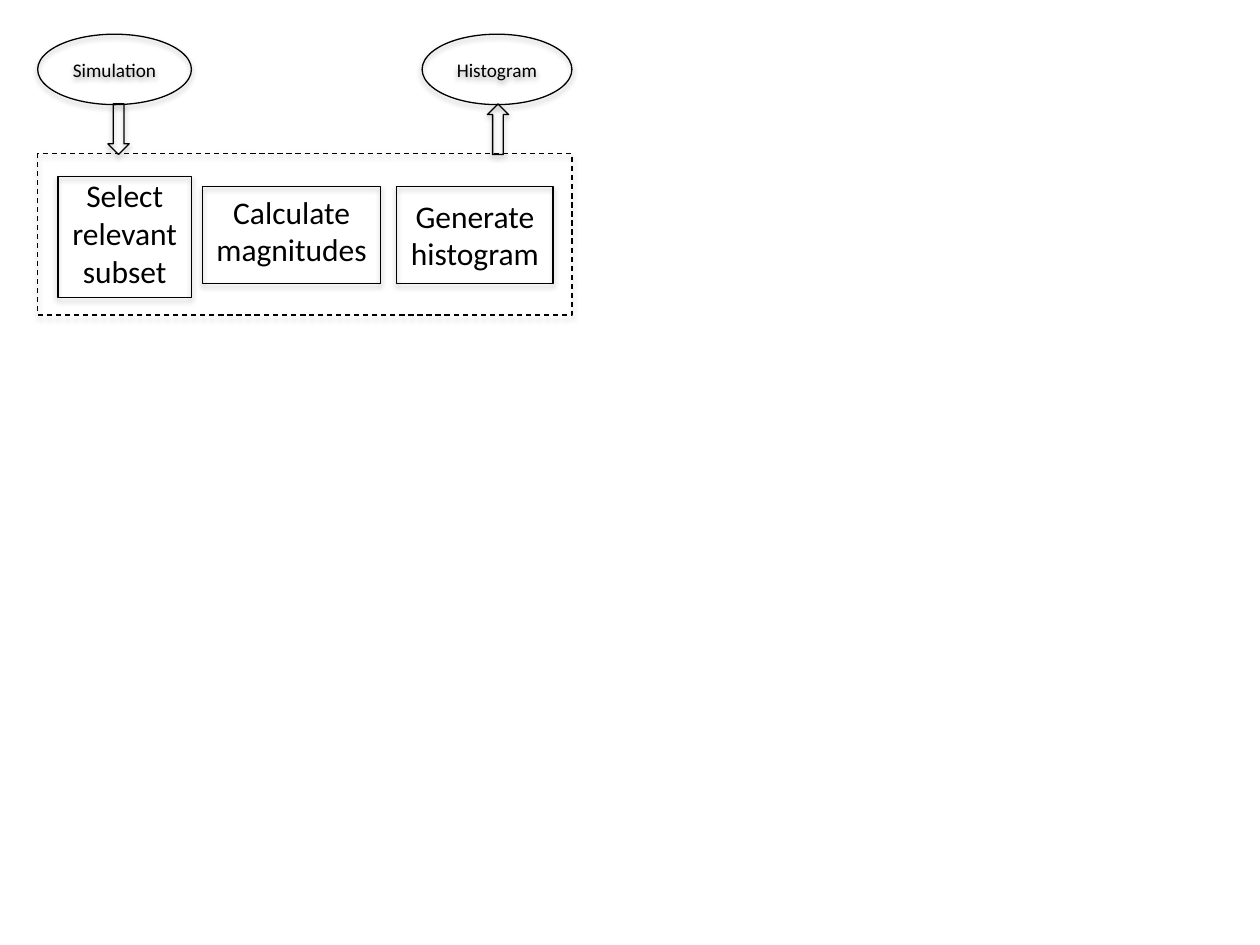
"""Build the flow slide from simulation to histogram."""
from dataclasses import dataclass

from pptx import Presentation
from pptx.dml.color import RGBColor
from pptx.enum.dml import MSO_LINE
from pptx.enum.shapes import MSO_SHAPE
from pptx.enum.text import MSO_ANCHOR, MSO_AUTO_SIZE, PP_ALIGN
from pptx.util import Cm, Pt

ELLIPSE, RECTANGLE, ARROW = MSO_SHAPE.OVAL, MSO_SHAPE.RECTANGLE, MSO_SHAPE.RIGHT_ARROW
DASH = MSO_LINE.DASH
CENTER, MIDDLE = PP_ALIGN.CENTER, MSO_ANCHOR.MIDDLE
FIT_SHAPE = MSO_AUTO_SIZE.SHAPE_TO_FIT_TEXT


@dataclass(frozen=True)
class Theme:
    ink: RGBColor = RGBColor(0, 0, 0)
    font: str = "Calibri"
    step_size: Pt = Pt(18)
    data_size: Pt = Pt(11)
    outline: Pt = Pt(0.75)


THEME = Theme()


def add_outline(shapes, preset, left, top, width, height):
    outline = shapes.add_shape(preset, Cm(left), Cm(top), Cm(width), Cm(height))
    outline.fill.background()
    outline.line.color.rgb = THEME.ink
    outline.line.width = THEME.outline
    return outline


def write_lines(frame, lines, size):
    for index, line in enumerate(lines):
        paragraph = frame.add_paragraph() if index else frame.paragraphs[0]
        paragraph.alignment = CENTER
        run = paragraph.add_run()
        run.text = line
        run.font.name = THEME.font
        run.font.size = size
        run.font.color.rgb = THEME.ink


prs = Presentation()
prs.slide_width, prs.slide_height = Cm(25.4), Cm(19.05)
slide = prs.slides.add_slide(prs.slide_layouts[6])

data_ends = [
    ("Simulation", 0.76, 3.1, 1.88, 90),
    ("Histogram", 8.51, 3.02, 9.53, 270),
]
for label, left, width, arrow_left, turn in data_ends:
    data = add_outline(slide.shapes, ELLIPSE, left, 0.69, width, 1.42)
    data.text_frame.margin_left = data.text_frame.margin_right = 0
    data.text_frame.vertical_anchor = MIDDLE
    write_lines(data.text_frame, [label], THEME.data_size)
    arrow = add_outline(slide.shapes, ARROW, arrow_left, 2.39, 1.02, 0.43)
    arrow.rotation = turn

steps = [
    (["Select", "relevant", "subset"], 1.17, 2.69, 3.43, 2.57, 3.56, 2.44),
    (["Calculate", "magnitudes"], 4.09, 3.58, 3.76, 1.8, 3.76, 1.96),
    (["Generate", "histogram"], 8, 3.15, 3.84, 1.8, 3.76, 1.96),
]
for lines, left, width, text_top, text_height, box_top, box_height in steps:
    step = slide.shapes.add_group_shape()
    caption = step.shapes.add_textbox(Cm(left), Cm(text_top), Cm(width), Cm(text_height))
    caption.text_frame.word_wrap = False
    caption.text_frame.auto_size = FIT_SHAPE
    write_lines(caption.text_frame, lines, THEME.step_size)
    add_outline(step.shapes, RECTANGLE, left, box_top, width, box_height)

pipeline = add_outline(slide.shapes, RECTANGLE, 0.76, 3.1, 10.77, 3.25)
pipeline.line.dash_style = DASH

prs.save("out.pptx")
